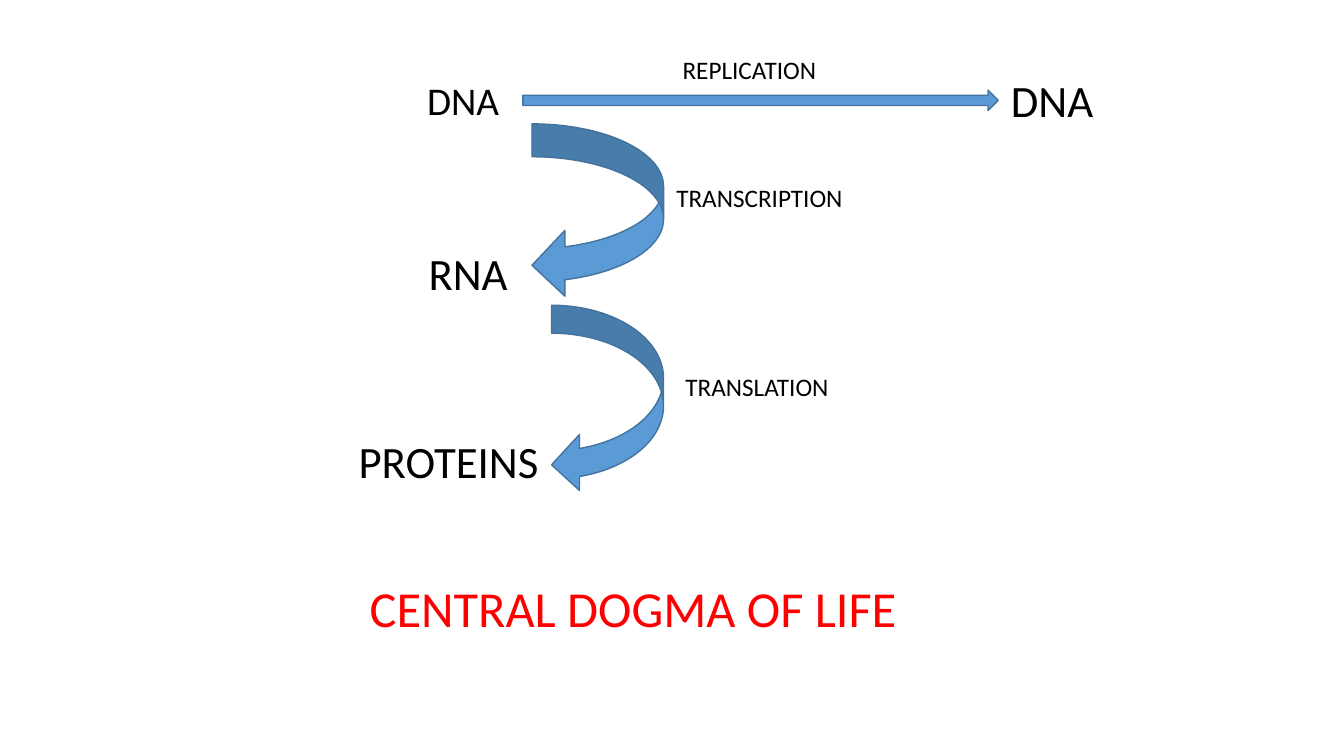
from pptx import Presentation
from pptx.dml.color import RGBColor
from pptx.enum.shapes import MSO_SHAPE
from pptx.enum.text import MSO_AUTO_SIZE
from pptx.util import Pt

COLORS = {"text": "000000", "title": "FF0000", "fill": "5B9BD5", "line": "43739E"}
FONT = "Calibri"
BOX_HEIGHTS = {18: 29, 28: 41, 32: 46, 36: 51}

ARROWS = [
    (MSO_SHAPE.CURVED_LEFT_ARROW, 380, 88.5, 94, 124.5),
    (MSO_SHAPE.CURVED_LEFT_ARROW, 394, 218, 80, 134),
    (MSO_SHAPE.RIGHT_ARROW, 373.5, 64.5, 339.5, 14.5),
]
LABELS = [
    ("DNA", 298, 51, 67, 28, "text"),
    ("RNA", 299, 172, 71, 32, "text"),
    ("PROTEINS", 249, 306, 145, 32, "text"),
    ("TRANSCRIPTION", 476, 127, 134, 18, "text"),
    ("TRANSLATION", 482.5, 261.5, 117, 18, "text"),
    ("REPLICATION", 480.5, 35.5, 111, 18, "text"),
    ("DNA", 715, 48.5, 74, 32, "text"),
    ("CENTRAL DOGMA OF LIFE", 257, 408.5, 394.5, 36, "title"),
]


def rgb(name):
    return RGBColor.from_string(COLORS[name])


def add_arrow(s, kind, x, y, w, h):
    sp = s.shapes.add_shape(kind, Pt(x), Pt(y), Pt(w), Pt(h))
    sp.shadow.inherit = False
    sp.fill.solid()
    sp.fill.fore_color.rgb = rgb("fill")
    sp.line.color.rgb = rgb("line")
    sp.line.width = Pt(1)


def add_label(s, text, x, y, w, size, color):
    sp = s.shapes.add_textbox(Pt(x), Pt(y), Pt(w), Pt(BOX_HEIGHTS[size]))
    tf = sp.text_frame
    tf.word_wrap = False
    tf.auto_size = MSO_AUTO_SIZE.SHAPE_TO_FIT_TEXT
    p = tf.paragraphs[0]
    p.text = text
    p.font.name = FONT
    p.font.size = Pt(size)
    p.font.color.rgb = rgb(color)


def main():
    prs = Presentation()
    prs.slide_width, prs.slide_height = Pt(960), Pt(540)
    s = prs.slides.add_slide(prs.slide_layouts[6])
    for arrow in ARROWS:
        add_arrow(s, *arrow)
    for label in LABELS:
        add_label(s, *label)
    prs.save("out.pptx")


if __name__ == "__main__":
    main()
